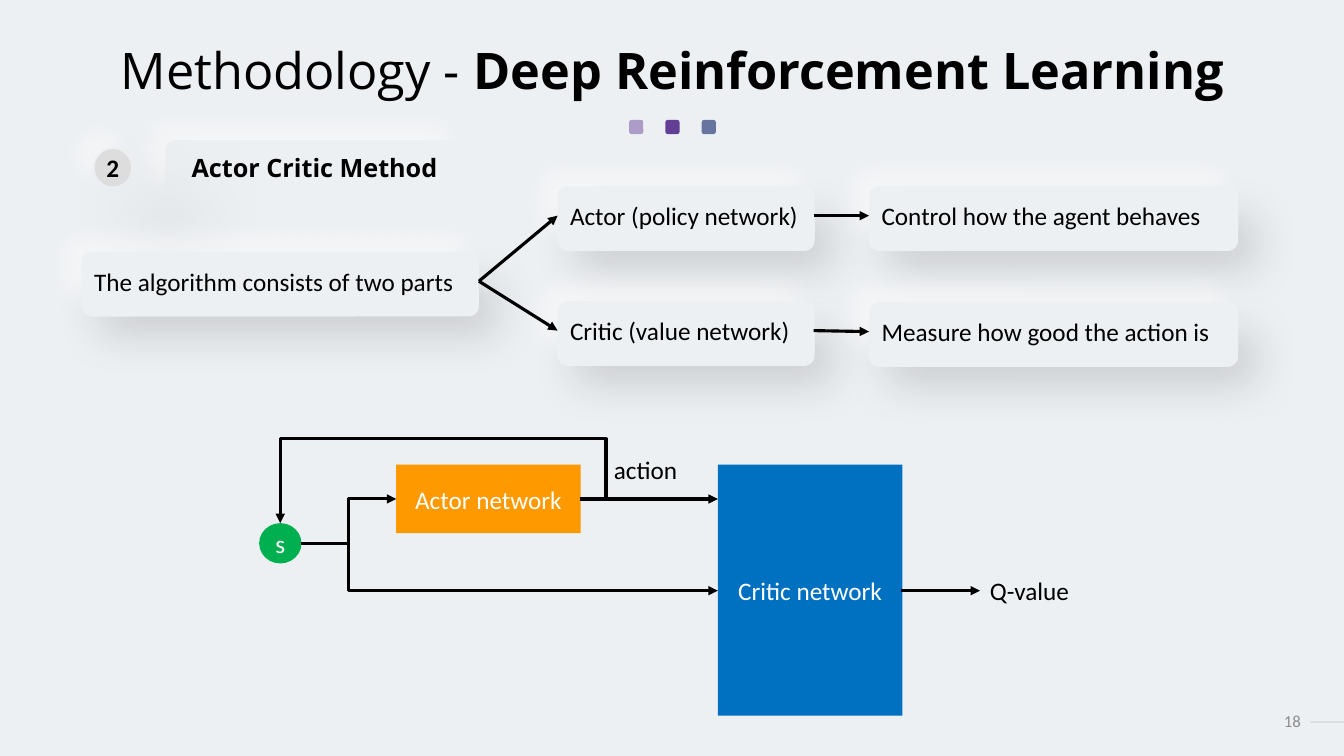
from lxml.etree import SubElement
from pptx import Presentation
from pptx.dml.color import RGBColor
from pptx.enum.shapes import MSO_CONNECTOR, MSO_SHAPE
from pptx.enum.text import MSO_ANCHOR, PP_ALIGN
from pptx.oxml.ns import qn
from pptx.util import Inches, Pt

BLACK, WHITE, PANEL, BACK = "000000", "FFFFFF", "ECF0F3", "EDF0F3"
GLOW = (WHITE, 50, 20, 15, 225)
SHADE = ("0D0D0D", 14, 32, 18, 45)
BADGE_SHADE = (BLACK, 25, 63, 55, 45)

TITLE = [("Methodology - ", False), ("Deep Reinforcement Learning", True)]
DOTS = ["AE9CC8", "623E95", "6774A0"]
CARDS = [
    ("The algorithm consists of two parts", 0.81, 2.5, 3.94),
    ("Actor (policy network)", 5.53, 1.85, 2.55),
    ("Control how the agent behaves", 8.62, 1.85, 3.66),
    ("Critic (value network)", 5.53, 2.99, 2.55),
    ("Measure how good the action is", 8.62, 3, 3.66),
]
NODES = [
    ("Actor network", MSO_SHAPE.RECTANGLE, (3.93, 4.61, 1.83, 0.68), "FF9900"),
    ("Critic network", MSO_SHAPE.RECTANGLE, (7.12, 4.61, 1.83, 2.49), "0070C0"),
    ("s", MSO_SHAPE.OVAL, (2.57, 5.19, 0.42, 0.4), "00B050"),
]
LABELS = [("action", (5.99, 4.45, 0.87, 0.41)), ("Q-value", (9.72, 5.65, 1.04, 0.41))]
ARROWS = [
    ((5.75, 4.95), (7.12, 4.95)),
    ((8.94, 5.86), (9.72, 5.86)),
    ((4.75, 2.79), (5.53, 2.14)),
    ((4.75, 2.79), (5.53, 3.28)),
    ((8.07, 2.14), (8.62, 2.14)),
    ((8.07, 3.28), (8.62, 3.29)),
]
ELBOWS = [
    ((2.99, 5.39), (7.12, 5.86), "bentConnector3", [11400]),
    ((2.99, 5.39), (3.93, 4.95), "bentConnector3", [50000]),
    ((5.75, 4.95), (2.78, 5.19), "bentConnector4", [-8800, -247900]),
]


def rgb(color):
    return RGBColor.from_string(color)


def add_shadow(s, color, alpha, blur, dist, angle):
    effects = s._element.spPr.find(qn("a:effectLst"))
    shadow = SubElement(effects, qn("a:outerShdw"), blurRad=str(Pt(blur)), dist=str(Pt(dist)),
                        dir=str(angle * 60000), algn="ctr", rotWithShape="0")
    clr = SubElement(shadow, qn("a:srgbClr"), val=color)
    SubElement(clr, qn("a:alpha"), val=str(alpha * 1000))


def write(s, runs, size=18, font="Calibri", color=BLACK, align=PP_ALIGN.CENTER, wrap=True):
    tf = s.text_frame
    tf.word_wrap = wrap
    tf.vertical_anchor = MSO_ANCHOR.MIDDLE
    p = tf.paragraphs[0]
    p.alignment = align
    p.font.size, p.font.name, p.font.color.rgb = Pt(size), font, rgb(color)
    for text, bold in runs:
        r = p.add_run()
        r.text = text
        r.font.bold = bold
    return p


def add_box(box, runs, **style):
    return write(sp.add_textbox(*map(Inches, box)), runs, **style)


def add_block(kind, box, fill, shadow=None, corner=None):
    s = sp.add_shape(kind, *map(Inches, box))
    s.shadow.inherit = False
    s.fill.solid()
    s.fill.fore_color.rgb = rgb(fill)
    s.line.fill.background()
    if corner:
        s.adjustments[0] = corner
    if shadow:
        add_shadow(s, *shadow)
    return s


def add_line(start, end, color=BLACK, width=2.25, arrow=True, preset=None, adjust=()):
    kind = MSO_CONNECTOR.ELBOW if preset else MSO_CONNECTOR.STRAIGHT
    s = sp.add_connector(kind, *map(Inches, start + end))
    s.line.color.rgb = rgb(color)
    s.line.width = Pt(width)
    if arrow:
        SubElement(s.line._get_or_add_ln(), qn("a:tailEnd"), type="triangle")
    SubElement(s._element.spPr, qn("a:effectLst"))
    if preset:
        geom = s._element.spPr.find(qn("a:prstGeom"))
        geom.set("prst", preset)
        guides = geom.find(qn("a:avLst"))
        for i, value in enumerate(adjust, 1):
            SubElement(guides, qn("a:gd"), name=f"adj{i}", fmla=f"val {value}")


prs = Presentation()
prs.slide_width, prs.slide_height = Inches(13.33), Inches(7.5)
slide = prs.slides.add_slide(prs.slide_layouts[6])
slide.background.fill.solid()
slide.background.fill.fore_color.rgb = rgb(BACK)
sp = slide.shapes

add_line((12.99, 7.16), (13.33, 7.16), "DDDDDD", 1.5, arrow=False)
add_box((12.42, 6.95, 0.58, 0.4), [("18", False)], size=12, color="8C8C8C", align=PP_ALIGN.RIGHT)
for i, color in enumerate(DOTS):
    add_block(MSO_SHAPE.ROUNDED_RECTANGLE, (6.24 + 0.36 * i, 1.19, 0.14, 0.14), color)
p = add_box((0.92, 0.4, 11.5, 0.65), TITLE, size=36, font="Open Sans")
p.line_spacing = 0.9

heading = add_block(MSO_SHAPE.ROUNDED_RECTANGLE, (1.64, 1.39, 2.96, 0.55), PANEL, GLOW, 0.2)
write(heading, [("Actor Critic Method", True)], font="Open Sans")
add_block(MSO_SHAPE.OVAL, (0.92, 1.46, 0.42, 0.42), BACK, GLOW)
badge = add_block(MSO_SHAPE.OVAL, (0.94, 1.48, 0.36, 0.37), "DDDDDD", BADGE_SHADE)
write(badge, [("2", True)], wrap=False)

for text, kind, box, fill in NODES:
    write(add_block(kind, box, fill), [(text, False)], color=WHITE, wrap=False)
for text, box in LABELS:
    add_box(box, [(text, False)], align=PP_ALIGN.LEFT, wrap=False)
for text, x, y, w in CARDS:
    add_block(MSO_SHAPE.ROUNDED_RECTANGLE, (x, y + 0.12, w, 0.52), PANEL, SHADE, 0.2)
    card = add_block(MSO_SHAPE.ROUNDED_RECTANGLE, (x, y, w, 0.58), PANEL, GLOW, 0.15)
    write(card, [(text, False)], align=PP_ALIGN.JUSTIFY)
for start, end in ARROWS:
    add_line(start, end)
for start, end, preset, adjust in ELBOWS:
    add_line(start, end, preset=preset, adjust=adjust)

prs.save("out.pptx")
